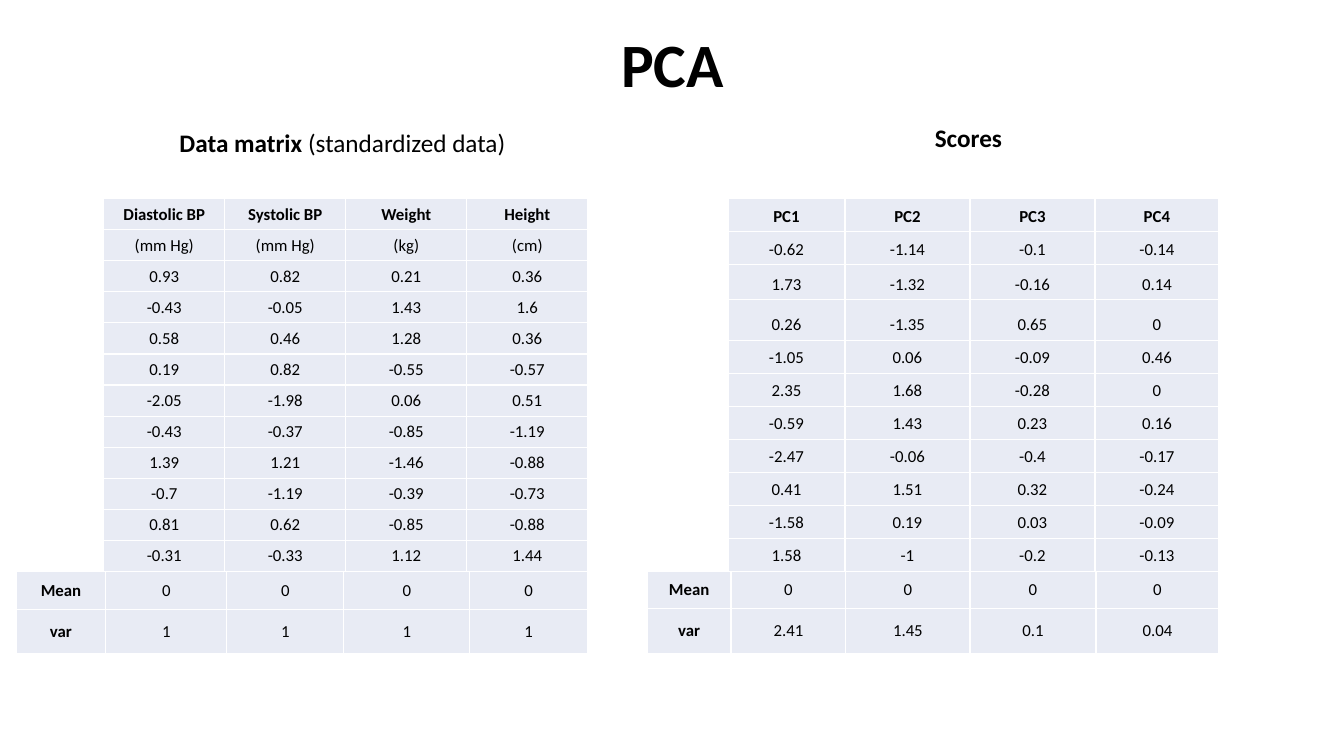
from dataclasses import dataclass

from lxml.etree import SubElement
from pptx import Presentation
from pptx.dml.color import RGBColor
from pptx.enum.text import MSO_ANCHOR, PP_ALIGN
from pptx.oxml.ns import qn
from pptx.slide import Slide
from pptx.table import _Cell
from pptx.text.text import _Paragraph
from pptx.util import Inches, Pt

BLACK = RGBColor(0x00, 0x00, 0x00)
WHITE = RGBColor(0xFF, 0xFF, 0xFF)
PALE_BLUE = RGBColor(0xE8, 0xEB, 0xF4)
FONT = "Calibri"
MATRIX_TOP, MATRIX_HEIGHT = 1.97, 3.7
SUMMARY_TOP = MATRIX_TOP + MATRIX_HEIGHT


@dataclass
class Span:
    text: str
    bold: bool = True


@dataclass
class Heading:
    left: float
    top: float
    width: float
    height: float
    size: float
    spans: list[Span]
    anchor: MSO_ANCHOR = MSO_ANCHOR.TOP
    left_inset: float = 0.1
    line_spacing: float = 1.0


@dataclass
class Grid:
    left: float
    top: float
    columns: list[float]
    rows: list[float]
    values: list[list[str]]
    anchor: MSO_ANCHOR
    bold_row: int | None = None
    bold_column: int | None = None


def split_rows(text: str) -> list[list[str]]:
    """Read one table row per line, with cells set apart by a bar."""
    return [line.split("|") for line in text.strip().splitlines()]


HEADINGS = [
    Heading(0.92, 0.14, 11.5, 1.07, 44, [Span("PCA")], MSO_ANCHOR.MIDDLE, line_spacing=0.9),
    Heading(0.92, 1.21, 4.55, 1, 18,
            [Span("Data matrix "), Span("(standardized data)", False)], left_inset=0.5),
    Heading(6.8, 1.16, 5.61, 0.4, 18, [Span("Scores")]),
]

DATA_VALUES = split_rows("""
Diastolic BP|Systolic BP|Weight|Height
(mm Hg)|(mm Hg)|(kg)|(cm)
0.93|0.82|0.21|0.36
-0.43|-0.05|1.43|1.6
0.58|0.46|1.28|0.36
0.19|0.82|-0.55|-0.57
-2.05|-1.98|0.06|0.51
-0.43|-0.37|-0.85|-1.19
1.39|1.21|-1.46|-0.88
-0.7|-1.19|-0.39|-0.73
0.81|0.62|-0.85|-0.88
-0.31|-0.33|1.12|1.44
""")

SCORE_VALUES = split_rows("""
PC1|PC2|PC3|PC4
-0.62|-1.14|-0.1|-0.14
1.73|-1.32|-0.16|0.14
0.26|-1.35|0.65|0
-1.05|0.06|-0.09|0.46
2.35|1.68|-0.28|0
-0.59|1.43|0.23|0.16
-2.47|-0.06|-0.4|-0.17
0.41|1.51|0.32|-0.24
-1.58|0.19|0.03|-0.09
1.58|-1|-0.2|-0.13
""")

DATA_SUMMARY = split_rows("""
Mean|0|0|0|0
var|1|1|1|1
""")

SCORE_SUMMARY = split_rows("""
Mean|0|0|0|0
var|2.41|1.45|0.1|0.04
""")

# The third and fourth score rows are taller; the others share what is left.
TALL_ROWS = [0.35, 0.4]
SCORE_ROW = (MATRIX_HEIGHT - sum(TALL_ROWS)) / (len(SCORE_VALUES) - len(TALL_ROWS))
SCORE_ROWS = [SCORE_ROW] * 2 + TALL_ROWS + [SCORE_ROW] * 7
DATA_ROWS = [MATRIX_HEIGHT / len(DATA_VALUES)] * len(DATA_VALUES)

GRIDS = [
    Grid(1.03, MATRIX_TOP, [1.2] * 4, DATA_ROWS, DATA_VALUES,
         MSO_ANCHOR.BOTTOM, bold_row=0),
    Grid(0.16, SUMMARY_TOP, [0.89, 1.2, 1.16, 1.25, 1.17], [0.38, 0.43], DATA_SUMMARY,
         MSO_ANCHOR.MIDDLE, bold_column=0),
    Grid(7.22, MATRIX_TOP, [1.16, 1.24, 1.24, 1.23], SCORE_ROWS, SCORE_VALUES,
         MSO_ANCHOR.BOTTOM, bold_row=0),
    Grid(6.42, SUMMARY_TOP, [0.83, 1.14, 1.23, 1.25, 1.22], [0.37, 0.44], SCORE_SUMMARY,
         MSO_ANCHOR.MIDDLE, bold_column=0),
]


def add_span(para: _Paragraph, span: Span, size: float) -> None:
    run = para.add_run()
    run.text = span.text
    run.font.name = FONT
    run.font.size = Pt(size)
    run.font.bold = span.bold
    run.font.color.rgb = BLACK


def add_heading(page: Slide, heading: Heading) -> None:
    box = page.shapes.add_textbox(Inches(heading.left), Inches(heading.top),
                                  Inches(heading.width), Inches(heading.height))
    frame = box.text_frame
    frame.word_wrap = True
    frame.vertical_anchor = heading.anchor
    frame.margin_left = Inches(heading.left_inset)
    para = frame.paragraphs[0]
    para.alignment = PP_ALIGN.CENTER
    para.line_spacing = heading.line_spacing
    for span in heading.spans:
        add_span(para, span, heading.size)


def add_borders(cell: _Cell) -> None:
    properties = cell._tc.get_or_add_tcPr()
    for side in ("a:lnL", "a:lnR", "a:lnT", "a:lnB"):
        line = SubElement(properties, qn(side), w=str(Pt(0.96)))
        fill = SubElement(line, qn("a:solidFill"))
        SubElement(fill, qn("a:srgbClr"), val=str(WHITE))


def fill_cell(cell: _Cell, span: Span, anchor: MSO_ANCHOR) -> None:
    add_borders(cell)
    cell.fill.solid()
    cell.fill.fore_color.rgb = PALE_BLUE
    cell.vertical_anchor = anchor
    cell.margin_left = cell.margin_right = Inches(0.01)
    cell.margin_top = cell.margin_bottom = Inches(0.05)
    para = cell.text_frame.paragraphs[0]
    para.alignment = PP_ALIGN.CENTER
    add_span(para, span, 12)


def add_grid(page: Slide, grid: Grid) -> None:
    table = page.shapes.add_table(
        len(grid.rows), len(grid.columns), Inches(grid.left), Inches(grid.top),
        Inches(sum(grid.columns)), Inches(sum(grid.rows))).table
    table.first_row = table.horz_banding = False
    for column, width in zip(table.columns, grid.columns):
        column.width = Inches(width)
    for row, height in zip(table.rows, grid.rows):
        row.height = Inches(height)
    for row_index, values in enumerate(grid.values):
        for column_index, value in enumerate(values):
            bold = row_index == grid.bold_row or column_index == grid.bold_column
            fill_cell(table.cell(row_index, column_index), Span(value, bold), grid.anchor)


def main() -> None:
    deck = Presentation()
    deck.slide_width, deck.slide_height = Inches(13.33), Inches(7.5)
    page = deck.slides.add_slide(deck.slide_layouts[6])
    for heading in HEADINGS:
        add_heading(page, heading)
    for grid in GRIDS:
        add_grid(page, grid)
    deck.save("out.pptx")


if __name__ == "__main__":
    main()
